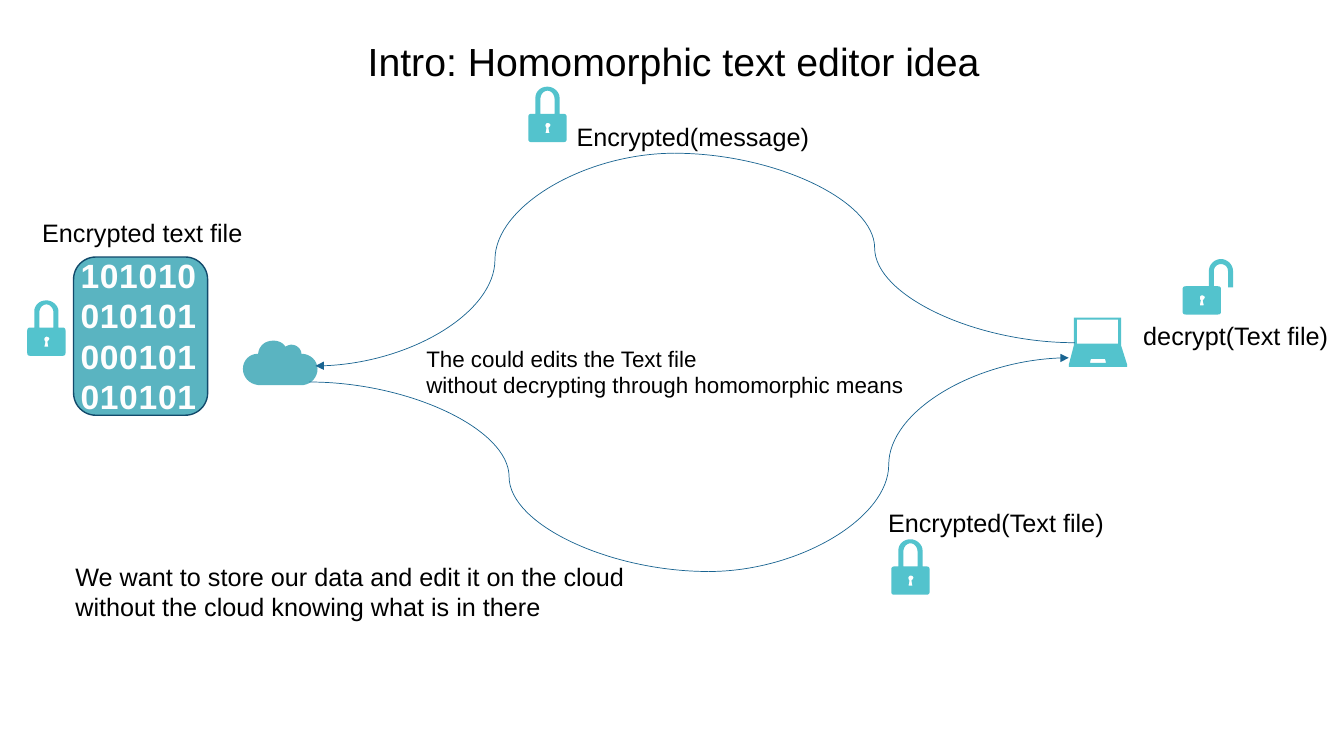
from lxml import etree
from pptx import Presentation
from pptx.dml.color import RGBColor
from pptx.enum import shapes, text
from pptx.oxml import ns
from pptx.util import Inches, Pt

FONT = "Arial"
BLACK, WHITE = "000000", "FEFEFE"
TEAL, AQUA, BLUE, NAVY = "5AB4C1", "53C3CD", "196491", "124A6B"

# Outlines in inches from the icon's corner: pairs are corners,
# six numbers are a Bezier curve from the point before.
KEYHOLE = [(.19, .36), (.18, .36, .17, .37, .17, .38), (.17, .39, .17, .4, .18, .41),
           (.17, .46), (.21, .46), (.2, .41), (.21, .4, .22, .39, .22, .38),
           (.22, .37, .21, .36, .19, .36)]
LOCK_BODY = [(.35, .27), (.37, .27, .38, .28, .38, .3), (.38, .52),
             (.38, .54, .37, .55, .35, .55), (.03, .55),
             (.01, .55, 0, .54, 0, .52), (0, .3), (0, .28, .01, .27, .03, .27)]
CLOSED_SHACKLE = [(.07, .27), (.07, .11), (.07, .05, .12, 0, .19, 0),
                  (.25, 0, .31, .05, .31, .11), (.31, .27)]
SHACKLE_HOLE = [(.12, .27), (.12, .12), (.12, .08, .15, .04, .19, .04),
                (.23, .04, .26, .08, .26, .12), (.26, .27)]
OPEN_SHACKLE = [(.26, .27), (.26, .12), (.26, .06, .31, 0, .38, 0),
                (.44, 0, .5, .05, .5, .12), (.5, .28), (.45, .28), (.45, .12),
                (.45, .08, .42, .05, .38, .05), (.34, .05, .31, .08, .31, .12),
                (.31, .27)]
CLOSED_LOCK = [KEYHOLE, SHACKLE_HOLE, LOCK_BODY + CLOSED_SHACKLE]
OPEN_LOCK = [KEYHOLE, LOCK_BODY + OPEN_SHACKLE]
CLOUD = [[(.3, 0), (.35, 0, .4, .02, .42, .06), (.44, .05, .46, .04, .48, .04),
          (.53, .04, .58, .08, .58, .13), (.67, .13, .74, .2, .74, .28),
          (.74, .36, .68, .43, .6, .44), (.15, .44), (.06, .43, 0, .36, 0, .28),
          (0, .2, .06, .13, .15, .13), (.16, .05, .22, 0, .3, 0)]]
LAPTOP = [[(.22, .41), (.21, .45), (.37, .45), (.36, .41)],
          [(.08, .02), (.08, .26), (.49, .26), (.49, .02)],
          [(.05, 0), (.52, 0), (.52, .28), (.58, .47), (.58, .49),
           (0, .49), (0, .47), (.05, .28)]]


def color(hex_string):
    return RGBColor.from_string(hex_string)


def flatten(contour, steps=8):
    """Turn corners and Bezier curves into a list of points."""
    points = [contour[0]]
    for segment in contour[1:]:
        if len(segment) == 2:
            points.append(segment)
            continue
        controls = [points[-1], segment[:2], segment[2:4], segment[4:]]
        for step in range(1, steps + 1):
            t = step / steps
            weights = ((1 - t) ** 3, 3 * t * (1 - t) ** 2, 3 * t * t * (1 - t), t ** 3)
            points.append(tuple(sum(w * c[axis] for w, c in zip(weights, controls))
                                for axis in (0, 1)))
    return points


def add_icon(slide, left, top, contours, fill):
    builder = None
    for contour in contours:
        points = [(Inches(left + x), Inches(top + y)) for x, y in flatten(contour)]
        if builder is None:
            builder = slide.shapes.build_freeform(*points[0])
        else:
            builder.move_to(*points[0])
        builder.add_line_segments(points[1:], close=True)
    shape = builder.convert_to_shape()
    shape.shadow.inherit = False
    shape.fill.solid()
    shape.fill.fore_color.rgb = color(fill)
    shape.line.fill.background()


def add_curve(slide, start, end, arrow=False):
    connector = slide.shapes.add_connector(
        shapes.MSO_CONNECTOR.CURVE, *[Inches(value) for value in start + end])
    connector.line.color.rgb = color(BLUE)
    connector.line.width = Pt(0.5)
    if arrow:
        etree.SubElement(connector.line._get_or_add_ln(), ns.qn("a:tailEnd"), type="triangle")
    etree.SubElement(connector._element.spPr, ns.qn("a:effectLst"))


def format_runs(text_frame, size, hex_string=BLACK, bold=False):
    for paragraph in text_frame.paragraphs:
        for run in paragraph.runs:
            run.font.size = Pt(size)
            run.font.bold = bold
            run.font.color.rgb = color(hex_string)
            run.font.name = FONT


def add_label(slide, box, words, size=18, wrap=False, **look):
    label = slide.shapes.add_textbox(*[Inches(value) for value in box])
    label.text_frame.text = words
    label.text_frame.word_wrap = wrap
    label.text_frame.auto_size = text.MSO_AUTO_SIZE.SHAPE_TO_FIT_TEXT
    format_runs(label.text_frame, size, **look)
    return label


def outline_letters(run, hex_string):
    """Give the letters wider spacing, a thin outline and a soft shadow."""
    properties = run.font._element
    properties.set("spc", "50")
    outline = etree.Element(ns.qn("a:ln"), w=str(Pt(0.75)))
    fill = etree.SubElement(outline, ns.qn("a:solidFill"))
    etree.SubElement(fill, ns.qn("a:srgbClr"), val=hex_string)
    effects = etree.Element(ns.qn("a:effectLst"))
    shadow = etree.SubElement(effects, ns.qn("a:outerShdw"),
                              blurRad="38100", dist="19050", dir="2700000")
    etree.SubElement(shadow, ns.qn("a:srgbClr"), val=NAVY)
    properties.find(ns.qn("a:solidFill")).addnext(effects)
    properties.insert(0, outline)


def add_encrypted_file(slide):
    card = slide.shapes.add_shape(shapes.MSO_SHAPE.ROUNDED_RECTANGLE, Inches(0.73),
                                  Inches(2.55), Inches(1.33), Inches(1.57))
    card.shadow.inherit = False
    card.fill.solid()
    card.fill.fore_color.rgb = color(TEAL)
    card.line.color.rgb = color(NAVY)
    card.line.width = Pt(1)
    bits = add_label(slide, (0.7, 2.48, 1.45, 1.72), "101010010101000101010101",
                     24, wrap=True, hex_string=WHITE, bold=True)
    outline_letters(bits.text_frame.paragraphs[0].runs[0], TEAL)


def set_title(slide, words):
    title = slide.shapes.title
    title.left, title.top = Inches(0.35), Inches(0.37)
    title.width, title.height = Inches(12.66), Inches(0.79)
    title.text_frame.text = words
    title.text_frame.vertical_anchor = text.MSO_ANCHOR.TOP
    title.text_frame.paragraphs[0].alignment = text.PP_ALIGN.CENTER
    title.text_frame.paragraphs[0].line_spacing = 0.9
    format_runs(title.text_frame, 28)


def main():
    presentation = Presentation()
    presentation.slide_width, presentation.slide_height = Inches(13.33), Inches(7.5)
    slide = presentation.slides.add_slide(presentation.slide_layouts[5])
    set_title(slide, "Intro: Homomorphic text editor idea")

    add_icon(slide, 2.41, 3.38, CLOUD, TEAL)
    add_icon(slide, 10.6, 3.15, LAPTOP, AQUA)
    request_top, reply_bottom = (6.69, 1.52), (7.03, 5.67)
    add_curve(slide, request_top, (3.13, 3.63), arrow=True)
    add_curve(slide, request_top, (10.66, 3.4))
    add_curve(slide, reply_bottom, (10.6, 3.55), arrow=True)
    add_curve(slide, reply_bottom, (3.07, 3.79))
    add_encrypted_file(slide)

    add_label(slide, (0.32, 2.11, 2.21, 0.4), "Encrypted text file")
    add_label(slide, (5.62, 1.15, 2.6, 0.4), "Encrypted(message)")
    add_label(slide, (8.71, 4.98, 2.36, 0.4), "Encrypted(Text file)")
    add_label(slide, (11.24, 3.13, 2.05, 0.4), "decrypt(Text file)")
    add_label(slide, (4.13, 3.37, 5.05, 0.64), "The could edits the Text file\v"
              "without decrypting through homomorphic means", 16)
    add_label(slide, (0.65, 5.52, 6.34, 1.01), "We want to store our data and edit it on "
              "the cloud without the cloud knowing what is in there", wrap=True)

    for left, top in ((5.24, 0.86), (8.84, 5.35), (0.27, 2.98)):
        add_icon(slide, left, top, CLOSED_LOCK, AQUA)
    add_icon(slide, 11.73, 2.57, OPEN_LOCK, AQUA)
    presentation.save("out.pptx")


if __name__ == "__main__":
    main()
